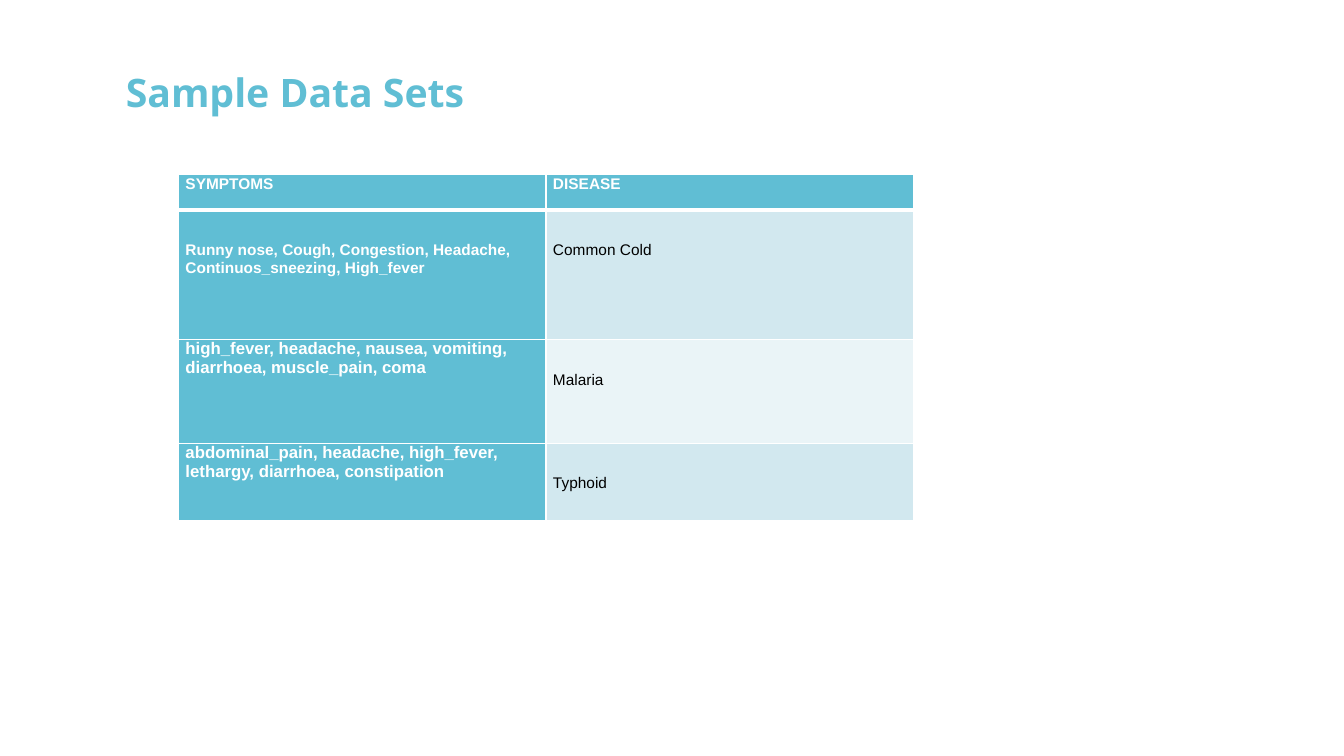
"""Build the Sample Data Sets slide: a title and a symptoms and disease table."""
from lxml import etree
from pptx import Presentation
from pptx.dml.color import RGBColor
from pptx.enum.text import MSO_AUTO_SIZE, PP_ALIGN
from pptx.oxml.ns import qn
from pptx.util import Inches, Pt

COLORS = {
    "teal": "60BED4",
    "band_dark": "D2E8EF",
    "band_light": "EAF4F7",
    "white": "FFFFFF",
    "black": "000000",
}
ROWS = [
    ("SYMPTOMS", "DISEASE"),
    ("Runny nose, Cough, Congestion, Headache, Continuos_sneezing, High_fever", "Common Cold"),
    ("high_fever, headache, nausea, vomiting, diarrhoea, muscle_pain, coma", "Malaria"),
    ("abdominal_pain, headache, high_fever, lethargy, diarrhoea, constipation", "Typhoid"),
]
ROW_HEIGHTS = [0.35, 1.29, 1.03, 0.77]


def style_run(r, font, size, color, bold):
    r.font.name = font
    r.font.size = Pt(size)
    r.font.bold = bold
    r.font.color.rgb = RGBColor.from_string(COLORS[color])


def add_border(cell, side, width):
    tc_pr = cell._tc.get_or_add_tcPr()
    ln = etree.SubElement(tc_pr, qn(f"a:ln{side}"), w=str(Pt(width)))
    fill = etree.SubElement(ln, qn("a:solidFill"))
    etree.SubElement(fill, qn("a:srgbClr"), val=COLORS["white"])


prs = Presentation()
prs.slide_width = Inches(13.33)
prs.slide_height = Inches(7.5)
s = prs.slides.add_slide(prs.slide_layouts[6])

frame = s.shapes.add_table(len(ROWS), 2, Inches(1.77), Inches(1.73), Inches(7.29), Inches(3.44))
table = frame.table
table.first_col = True
for col in table.columns:
    col.width = Inches(3.645)

for i, (texts, height) in enumerate(zip(ROWS, ROW_HEIGHTS)):
    table.rows[i].height = Inches(height)
    for j, text in enumerate(texts):
        cell = table.cell(i, j)
        heading = i == 0 or j == 0
        large = i > 1 and j == 0
        lowered = i == 1 or (i > 1 and j == 1)
        cell.margin_left = cell.margin_right = Inches(0.07)
        cell.margin_top = Inches(0.3 if lowered else 0)
        cell.margin_bottom = 0
        for side in "LRTB":
            add_border(cell, side, 3 if (i, side) in [(0, "B"), (1, "T")] else 1)
        band = "band_dark" if i % 2 else "band_light"
        cell.fill.solid()
        cell.fill.fore_color.rgb = RGBColor.from_string(COLORS["teal" if heading else band])
        cell.text_frame.text = text
        p = cell.text_frame.paragraphs[0]
        if not large:
            p.line_spacing = 1.07
            p.space_after = Pt(8)
        style_run(p.runs[0], "Arial", 12 if large else 11, "white" if heading else "black", heading)

title = s.shapes.add_textbox(Inches(1.15), Inches(0.4), Inches(6.67), Inches(0.72))
tf = title.text_frame
tf.word_wrap = True
tf.auto_size = MSO_AUTO_SIZE.SHAPE_TO_FIT_TEXT
tf.text = "Sample Data Sets"
p = tf.paragraphs[0]
p.alignment = PP_ALIGN.JUSTIFY
p.line_spacing = 1.48
p.space_after = Pt(7.8)
style_run(p.runs[0], "Open Sans", 28, "teal", True)

prs.save("out.pptx")
